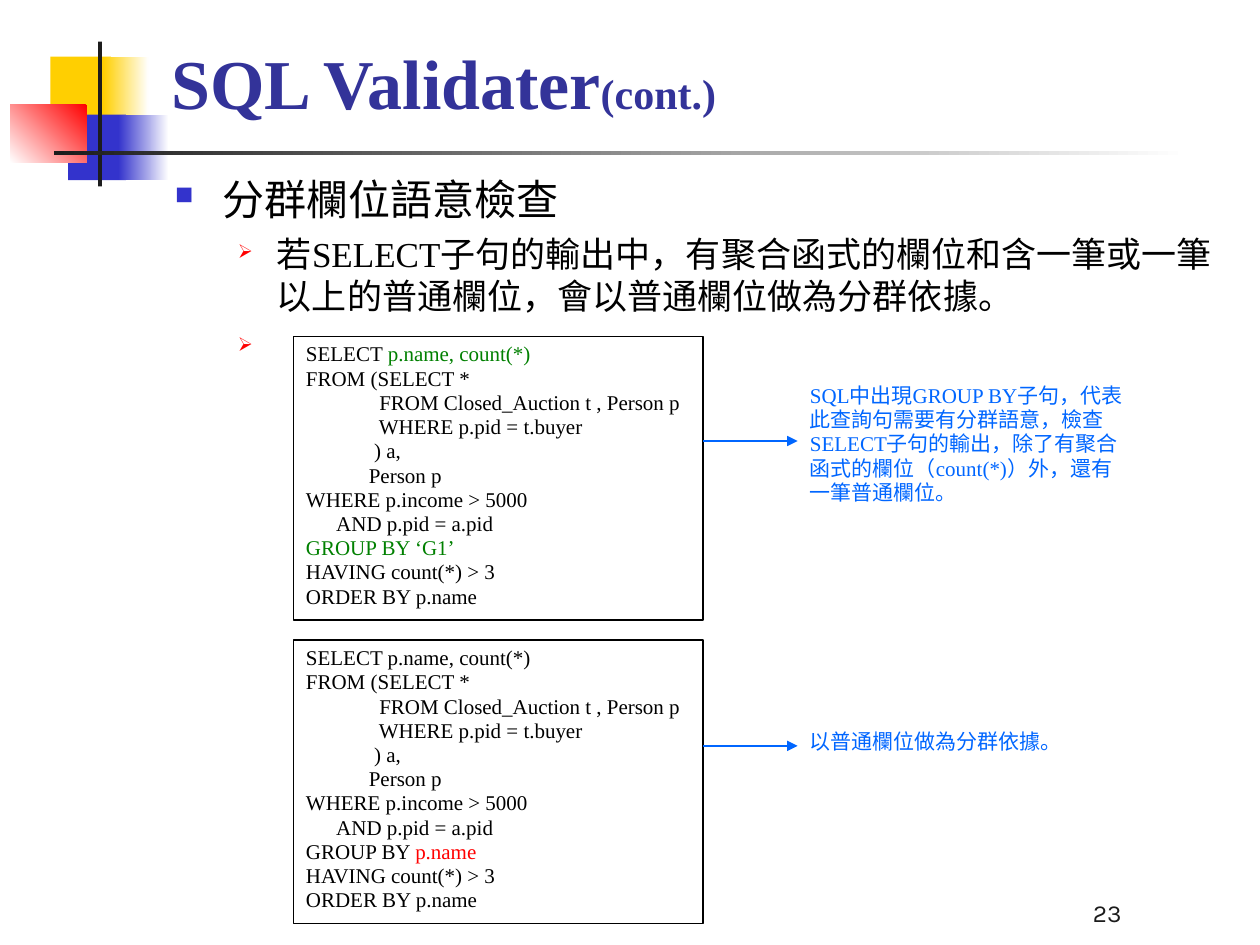
"""Build the SQL Validater slide on grouping-column checks."""
from lxml import etree
from pptx import Presentation, util as u
from pptx.dml.color import RGBColor
from pptx.enum import shapes, text
from pptx.oxml.ns import qn

INK = {"black": "000000", "white": "FFFFFF", "dark": "1C1C1C", "title": "333399",
       "gold": "FFCF01", "blue": "3333CC", "red": "FF0000", "green": "008000",
       "note": "0066FF"}
SERIF = "Times New Roman"
WIDE, HIGH = 10, 7.5

DECOR = [
    ((0.4, 0.45, 0.48, 0.52), "gold", None),
    ((0.82, 0.45, 0.36, 0.52), "gold", 0),
    ((0.54, 0.91, 0.46, 0.52), "blue", None),
    ((0.94, 0.91, 0.4, 0.52), "blue", 0),
    ((0.08, 0.83, 0.61, 0.46), "red", 225),
    ((0.78, 0.33, 0.03, 1.15), "dark", None),
    ((0.43, 1.2, 9, 0.03), "dark", 0),
]
TITLE = [("SQL Validater", "title", 40), ("(cont.)", "title", 24)]
POINTS = [
    (0, "分群欄位語意檢查"),
    (1, "若SELECT子句的輸出中，有聚合函式的欄位和含一筆或一筆以上的普通欄位，會以普通欄位做為分群依據。"),
    (1, " "),
]
LEVELS = [
    dict(size=24, left=0.38, hang=0.38, gap=6, mark="■", ink="blue", pct=60),
    dict(size=20, left=0.81, hang=0.31, gap=5, mark="➢", ink="red", pct=55),
]
MIDDLE = """FROM (SELECT *
              FROM Closed_Auction t , Person p
              WHERE p.pid = t.buyer
             ) a,
            Person p
WHERE p.income > 5000
      AND p.pid = a.pid""".split("\n")
TAIL = ["HAVING count(*) > 3", "ORDER BY p.name"]
STEPS = [
    dict(pick="green", group=[("GROUP BY ‘G1’", "green")], row=2.67, arrow=3.5,
         note="SQL中出現GROUP BY子句，代表此查詢句需要有分群語意，檢查SELECT子句的輸出，除了有聚合函式的欄位（count(*)）外，還有一筆普通欄位。",
         area=(6.33, 3, 2.75, 1.17)),
    dict(pick="black", group=[("GROUP BY ", "black"), ("p.name", "red")],
         row=5.08, arrow=5.92, note="以普通欄位做為分群依據。",
         area=(6.33, 5.75, 2.5, 0.5)),
]
CODE_X, CODE_W, CODE_H = 2.33, 3.25, 2.25


def rgb(name):
    return RGBColor.from_string(INK[name])


def inches(area):
    return [u.Inches(n) for n in area]


def style(run, ink, size, face=SERIF):
    run.font.name, run.font.size = face, u.Pt(size)
    run.font.color.rgb = rgb(ink)


def write(para, parts, face=SERIF):
    for words, ink, size in parts:
        run = para.add_run()
        run.text = words
        style(run, ink, size, face)


def block(area, ink, angle=None, line=None):
    box = slide.shapes.add_shape(shapes.MSO_SHAPE.RECTANGLE, *inches(area))
    box.shadow.inherit = False
    if angle is None:
        box.fill.solid()
        box.fill.fore_color.rgb = rgb(ink)
    else:
        box.fill.gradient()
        box.fill.gradient_angle = angle
        for stop, name in zip(box.fill.gradient_stops, (ink, "white")):
            stop.color.rgb = rgb(name)
    if line:
        box.line.color.rgb = rgb(line)
        box.line.width = u.Pt(0.75)
    else:
        box.line.fill.background()
    return box


def panel(area, lines, line=None):
    frame = block(area, "white", line=line).text_frame
    frame.word_wrap = True
    frame.vertical_anchor = text.MSO_ANCHOR.TOP
    for i, parts in enumerate(lines):
        para = frame.paragraphs[0] if i == 0 else frame.add_paragraph()
        para.alignment = text.PP_ALIGN.LEFT
        para.line_spacing = 0.96
        write(para, [(words, ink, 12) for words, ink in parts])


def arrow(y, left, right):
    link = slide.shapes.add_connector(
        shapes.MSO_CONNECTOR.STRAIGHT, *inches((left, y, right, y)))
    link.line.color.rgb = rgb("note")
    link.line.width = u.Pt(0.75)
    etree.SubElement(link.line._get_or_add_ln(), qn("a:tailEnd"), type="triangle")
    etree.SubElement(link._element.spPr, qn("a:effectLst"))


def bullet(para, look):
    props = para._p.get_or_add_pPr()
    props.set("marL", str(u.Inches(look["left"])))
    props.set("indent", str(-u.Inches(look["hang"])))
    tint = etree.SubElement(props, qn("a:buClr"))
    etree.SubElement(tint, qn("a:srgbClr"), val=INK[look["ink"]])
    etree.SubElement(props, qn("a:buSzPct"), val=str(look["pct"] * 1000))
    etree.SubElement(props, qn("a:buChar"), char=look["mark"])


deck = Presentation()
deck.slide_width, deck.slide_height = inches((WIDE, HIGH))
slide = deck.slides.add_slide(deck.slide_layouts[5])

for area, ink, angle in DECOR:
    block(area, ink, angle)

head = slide.shapes.title
head.left, head.top, head.width, head.height = inches((1.26, 0.17, 8.52, 0.86))
head.text_frame.vertical_anchor = text.MSO_ANCHOR.BOTTOM
para = head.text_frame.paragraphs[0]
para.alignment = text.PP_ALIGN.LEFT
write(para, TITLE)
for run in para.runs:
    run.font.bold = True

body = slide.shapes.add_textbox(*inches((1.29, 1.33, 8.54, 5.42))).text_frame
body.word_wrap = True
for i, (level, words) in enumerate(POINTS):
    look = LEVELS[level]
    para = body.add_paragraph() if i else body.paragraphs[0]
    para.level = level
    para.space_before = u.Pt(look["gap"] if i else 0)
    bullet(para, look)
    write(para, [(words, "black", look["size"])])

for step in STEPS:
    lines = [[("SELECT ", "black"), ("p.name, count(*)", step["pick"])]]
    lines += [[(row, "black")] for row in MIDDLE]
    lines += [step["group"]] + [[(row, "black")] for row in TAIL]
    panel((CODE_X, step["row"], CODE_W, CODE_H), lines, "black")
    panel(step["area"], [[(step["note"], "note")]])
    arrow(step["arrow"], CODE_X + CODE_W, step["area"][0])

foot = slide.shapes.add_textbox(*inches((6.92, 6.91, 2.08, 0.5))).text_frame
foot.word_wrap = True
foot.vertical_anchor = text.MSO_ANCHOR.BOTTOM
foot.paragraphs[0].alignment = text.PP_ALIGN.RIGHT
write(foot.paragraphs[0], [("23", "dark", 14)], "Karla")

deck.save("out.pptx")
